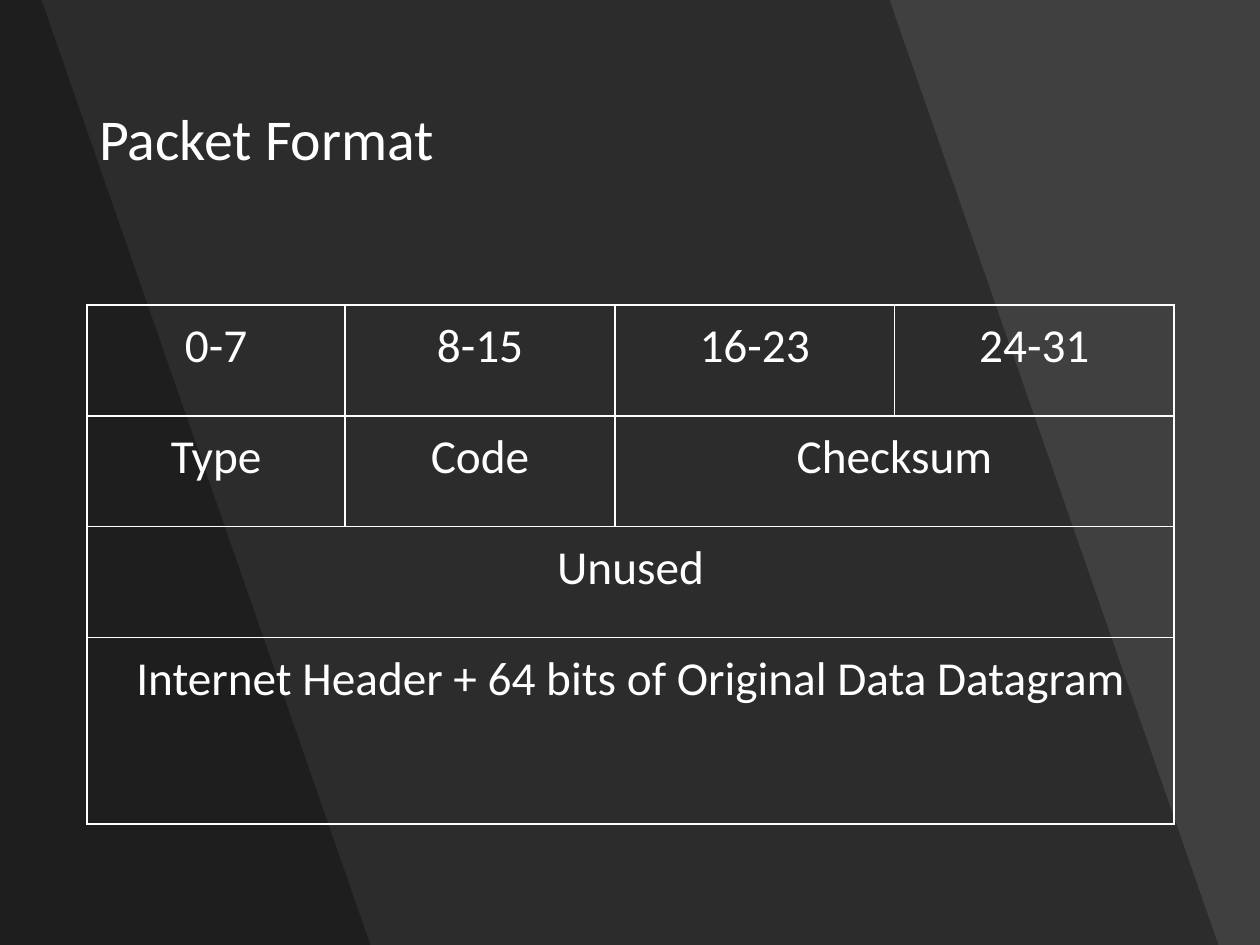
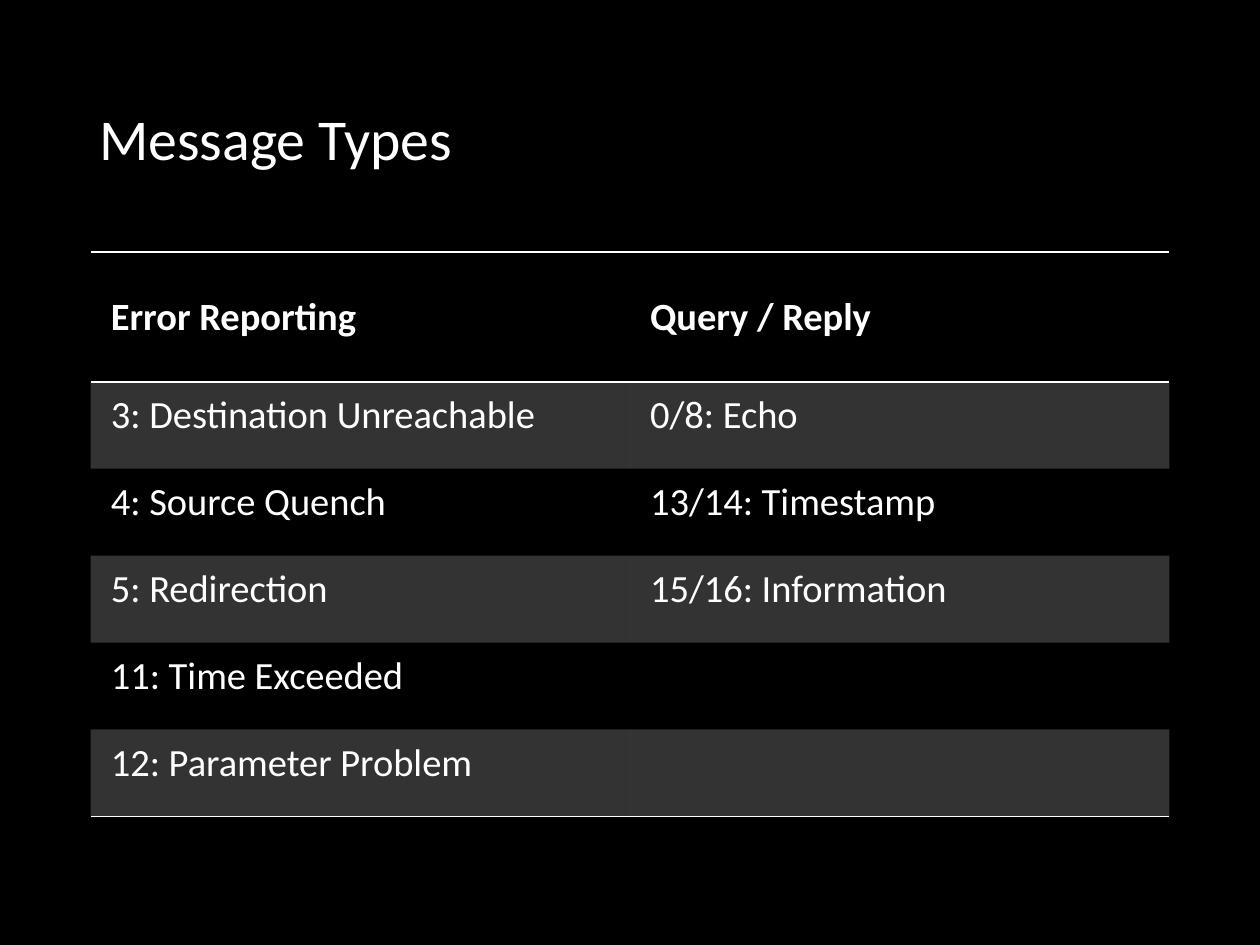
from lxml import etree
from pptx import Presentation
from pptx.dml.color import RGBColor
from pptx.enum.text import MSO_ANCHOR, PP_ALIGN
from pptx.oxml.ns import qn
from pptx.util import Inches, Pt

MIDDLE, TOP = MSO_ANCHOR.MIDDLE, MSO_ANCHOR.TOP
CENTER, LEFT = PP_ALIGN.CENTER, PP_ALIGN.LEFT
WHITE = RGBColor(0xFF, 0xFF, 0xFF)
BLACK = RGBColor(0, 0, 0)
GREY = RGBColor(0x40, 0x40, 0x40)
FONT = "Calibri"
WIDTH, HEIGHT = 10, 7.5
BAND_SLANT = 2.61
TITLE_BOX = (0.69, 0.4, 8.62, 1.45)

PACKET_BOX = (0.69, 2.42, 8.63, 4.12)
PACKET_COLS = (2.05, 2.14, 2.22, 2.22)
PACKET_ROWS = (0.88, 0.88, 0.88, 1.48)
PACKET_FIELDS = [
    [("0-7", 1), ("8-15", 1), ("16-23", 1), ("24-31", 1)],
    [("Type", 1), ("Code", 1), ("Checksum", 2)],
    [("Unused", 4)],
    [("Internet Header + 64 bits of Original Data Datagram", 4)],
]

TYPES_BOX = (0.72, 2, 8.56, 4.48)
TYPES_COLS = (4.28, 4.28)
TYPES_ROWS = (1.03,) + (0.69,) * 5
MESSAGE_TYPES = [
    ("Error Reporting", "Query / Reply"),
    ("3: Destination Unreachable", "0/8: Echo"),
    ("4: Source Quench", "13/14: Timestamp"),
    ("5: Redirection", "15/16: Information"),
    ("11: Time Exceeded", ""),
    ("12: Parameter Problem", ""),
]


def write(tf, text, size, bold=False, align=LEFT, spacing=1.0):
    """Write one formatted paragraph into a text frame."""
    p = tf.paragraphs[0]
    p.alignment = align
    p.line_spacing = spacing
    r = p.add_run()
    r.text = text
    r.font.name = FONT
    r.font.size = Pt(size)
    r.font.bold = bold
    r.font.color.rgb = WHITE


def set_fill(fill, color, opacity):
    """Give a fill a solid colour with an opacity in percent."""
    fill.solid()
    fill.fore_color.rgb = color
    clr = next(fill._xPr.iter(qn("a:srgbClr")))
    etree.SubElement(clr, qn("a:alpha"), val=str(opacity * 1000))


def set_borders(cell, sides):
    """Draw white borders on the named sides of a cell and clear the others."""
    tcPr = cell._tc.get_or_add_tcPr()
    for i, side in enumerate("LRTB"):
        ln = etree.Element(qn(f"a:ln{side}"), w=str(Pt(1)))
        tcPr.insert(i, ln)
        if side in sides:
            fill = etree.SubElement(ln, qn("a:solidFill"))
            etree.SubElement(fill, qn("a:srgbClr"), val=str(WHITE))
        else:
            etree.SubElement(ln, qn("a:noFill"))


def set_margins(cell, x, y):
    """Set the side and the top and bottom margins of a cell."""
    cell.margin_left = cell.margin_right = Inches(x)
    cell.margin_top = cell.margin_bottom = Inches(y)


def add_slide(prs, color, title):
    """Add a blank slide with a background colour."""
    s = prs.slides.add_slide(prs.slide_layouts[6])
    s.background.fill.solid()
    s.background.fill.fore_color.rgb = color
    return s


def add_title(s, text, box):
    """Add the slide title, centred vertically in its box."""
    tf = s.shapes.add_textbox(*map(Inches, box)).text_frame
    tf.word_wrap = True
    tf.vertical_anchor = MIDDLE
    write(tf, text, 33, spacing=0.9)


def add_band(s, top_width):
    """Add a translucent dark band with a slanted right edge."""
    fb = s.shapes.build_freeform(0, 0)
    points = [(top_width, 0), (top_width + BAND_SLANT, HEIGHT), (0, HEIGHT)]
    fb.add_line_segments([(Inches(x), Inches(y)) for x, y in points])
    sp = fb.convert_to_shape()
    sp.shadow.inherit = False
    sp.line.fill.background()
    set_fill(sp.fill, BLACK, 30)


def add_grid(s, box, cols, rows):
    """Add an unfilled table with the given column widths and row heights."""
    frame = s.shapes.add_table(len(rows), len(cols), *map(Inches, box))
    table = frame.table
    table.first_row = table.horz_banding = False
    for col, width in zip(table.columns, cols):
        col.width = Inches(width)
    for row, height in zip(table.rows, rows):
        row.height = Inches(height)
    for cell in table.iter_cells():
        cell.fill.background()
    return table


def add_packet_table(s, box):
    """Add the packet layout, where a field spans several columns."""
    table = add_grid(s, box, PACKET_COLS, PACKET_ROWS)
    for cell in table.iter_cells():
        set_margins(cell, 0.19, 0.1)
        set_borders(cell, "LRTB")
    for r, fields in enumerate(PACKET_FIELDS):
        c = 0
        for text, span in fields:
            cell = table.cell(r, c)
            if span > 1:
                cell.merge(table.cell(r, c + span - 1))
            write(cell.text_frame, text, 27, align=CENTER)
            c += span


def add_types_table(s, box):
    """Add the message types with a ruled header and shaded odd rows."""
    table = add_grid(s, box, TYPES_COLS, TYPES_ROWS)
    last = len(MESSAGE_TYPES) - 1
    for r, texts in enumerate(MESSAGE_TYPES):
        sides = ("T" if r <= 1 else "") + ("B" if r in (0, last) else "")
        for c, text in enumerate(texts):
            cell = table.cell(r, c)
            set_margins(cell, 0.16, 0.08)
            cell.vertical_anchor = TOP if r else MIDDLE
            if r % 2:
                set_fill(cell.fill, WHITE, 20)
            set_borders(cell, sides)
            if text:
                write(cell.text_frame, text, 22, bold=r == 0)


def packet_slide(prs):
    """Build the packet format slide."""
    s = add_slide(prs, GREY, "Packet Format")
    for top_width in (7.06, 0.33):
        add_band(s, top_width)
    add_title(s, "Packet Format", TITLE_BOX)
    add_packet_table(s, PACKET_BOX)


def types_slide(prs):
    """Build the message types slide."""
    s = add_slide(prs, BLACK, "Message Types")
    add_title(s, "Message Types", TITLE_BOX)
    add_types_table(s, TYPES_BOX)


def main():
    """Build and save the presentation."""
    prs = Presentation()
    prs.slide_width, prs.slide_height = Inches(WIDTH), Inches(HEIGHT)
    packet_slide(prs)
    types_slide(prs)
    prs.save("out.pptx")


if __name__ == "__main__":
    main()
